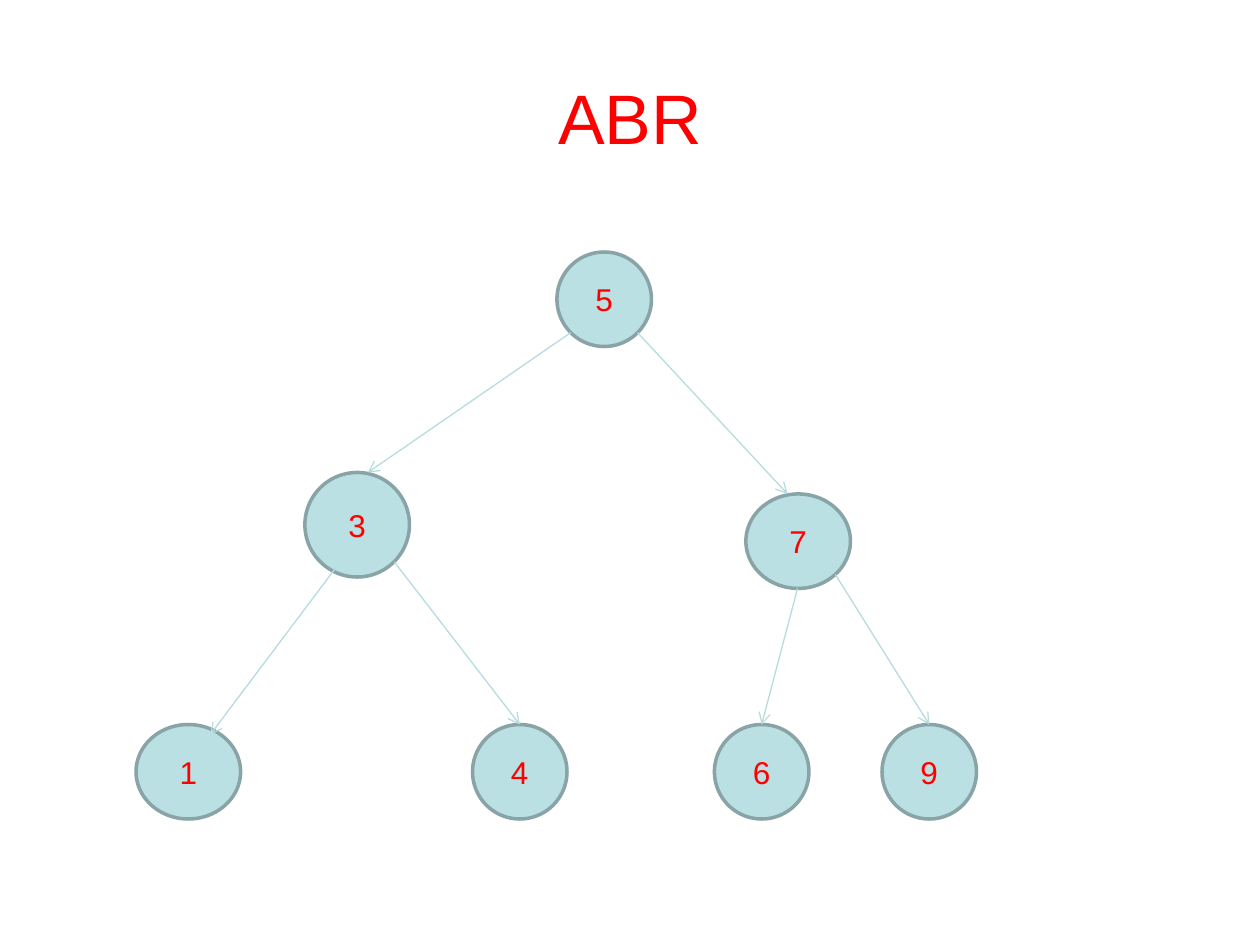
from pptx import Presentation
from pptx.dml.color import RGBColor
from pptx.enum.shapes import MSO_CONNECTOR, MSO_SHAPE
from pptx.enum.text import MSO_ANCHOR, PP_ALIGN
from pptx.oxml.ns import qn
from pptx.util import Inches, Pt
from lxml import etree

ELLIPSE = MSO_SHAPE.OVAL
STRAIGHT = MSO_CONNECTOR.STRAIGHT
MIDDLE = MSO_ANCHOR.MIDDLE
CENTER = PP_ALIGN.CENTER

RED = RGBColor(0xFF, 0x00, 0x00)
NODE_FILL = RGBColor(0xBB, 0xE0, 0xE3)
NODE_OUTLINE = RGBColor(0x89, 0xA4, 0xA7)
EDGE_COLOR = RGBColor(0xB6, 0xDC, 0xDF)

FONT = "Arial"
TOP_SITE = 0
SMALL, LARGE = 0.75, 0.83
LEAF_TOP = 5.75

NODES = {
    "5": (4.42, 2, SMALL, SMALL),
    "7": (5.92, 3.92, LARGE, SMALL),
    "1": (1.08, LEAF_TOP, LARGE, SMALL),
    "3": (2.42, 3.75, LARGE, LARGE),
    "9": (7, LEAF_TOP, SMALL, SMALL),
    "6": (5.67, LEAF_TOP, SMALL, SMALL),
    "4": (3.75, LEAF_TOP, SMALL, SMALL),
}

FREE_EDGES = [
    ((4.53, 2.64), (2.92, 3.75)),
    ((5.06, 2.64), (6.25, 3.92)),
    ((2.67, 4.5), (1.67, 5.83)),
]

EDGES_TO_TOP = [
    ((3.13, 4.46), "4"),
    ((6.33, 4.67), "6"),
    ((6.63, 4.56), "9"),
]


def write_label(shape, label, size):
    frame = shape.text_frame
    frame.word_wrap = True
    frame.vertical_anchor = MIDDLE
    paragraph = frame.paragraphs[0]
    paragraph.text = label
    paragraph.alignment = CENTER
    paragraph.font.name = FONT
    paragraph.font.size = Pt(size)
    paragraph.font.color.rgb = RED


def add_title(slide, title):
    heading = slide.shapes.add_textbox(Inches(0.5), Inches(0.3), Inches(9), Inches(1.25))
    write_label(heading, title, 40)


def add_node(slide, key, bounds):
    node = slide.shapes.add_shape(ELLIPSE, *map(Inches, bounds))
    node.shadow.inherit = False
    node.fill.solid()
    node.fill.fore_color.rgb = NODE_FILL
    node.line.color.rgb = NODE_OUTLINE
    node.line.width = Pt(2)
    write_label(node, key, 18)
    return node


def add_edge(slide, start, end):
    edge = slide.shapes.add_connector(STRAIGHT, *map(Inches, start + end))
    edge.line.color.rgb = EDGE_COLOR
    edge.line.width = Pt(0.75)
    arrowhead = etree.SubElement(edge.line._get_or_add_ln(), qn("a:tailEnd"))
    arrowhead.set("type", "arrow")
    etree.SubElement(edge._element.spPr, qn("a:effectLst"))
    return edge


def main():
    presentation = Presentation()
    presentation.slide_width = Inches(10)
    presentation.slide_height = Inches(7.5)
    slide = presentation.slides.add_slide(presentation.slide_layouts[6])

    add_title(slide, "ABR")
    nodes = {key: add_node(slide, key, bounds) for key, bounds in NODES.items()}
    for start, end in FREE_EDGES:
        add_edge(slide, start, end)
    for start, child in EDGES_TO_TOP:
        left, top, width, _ = NODES[child]
        edge = add_edge(slide, start, (left + width / 2, top))
        edge.end_connect(nodes[child], TOP_SITE)

    presentation.save("out.pptx")


if __name__ == "__main__":
    main()
